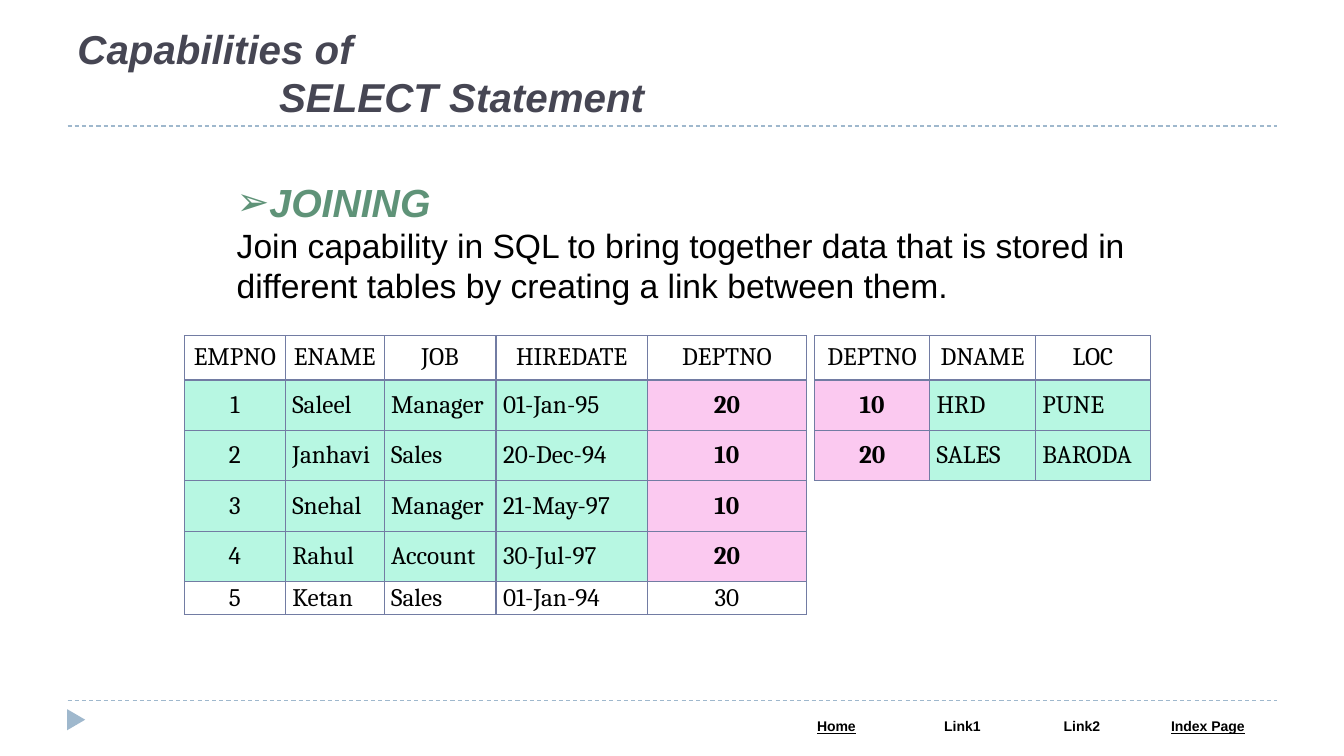
from lxml import etree
from pptx import Presentation
from pptx.dml.color import RGBColor
from pptx.enum.dml import MSO_LINE
from pptx.enum.shapes import MSO_CONNECTOR, MSO_SHAPE
from pptx.enum.text import MSO_ANCHOR, PP_ALIGN
from pptx.oxml.ns import qn
from pptx.util import Inches, Pt

COLORS = {
    "rule": "9FB8CD",
    "title": "464653",
    "heading": "5F9378",
    "text": "000000",
    "grid": "727CA3",
    "row": "B7F7E2",
    "key": "FBC9F0",
    "page": "FFFFFF",
}

EMPLOYEES = [
    ["EMPNO", "ENAME", "JOB", "HIREDATE", "DEPTNO"],
    ["1", "Saleel", "Manager", "01-Jan-95", "20"],
    ["2", "Janhavi", "Sales", "20-Dec-94", "10"],
    ["3", "Snehal", "Manager", "21-May-97", "10"],
    ["4", "Rahul", "Account", "30-Jul-97", "20"],
    ["5", "Ketan", "Sales", "01-Jan-94", "30"],
]
DEPARTMENTS = [
    ["DEPTNO", "DNAME", "LOC"],
    ["10", "HRD", "PUNE"],
    ["20", "SALES", "BARODA"],
]
FOOTER_LINKS = ["Home", "Link1", "Link2", "Index Page"]


def rgb(name):
    return RGBColor.from_string(COLORS[name])


def write(paragraph, text, size, color="text", font="Arial", bold=False,
          italic=False, underline=False, align=PP_ALIGN.LEFT):
    paragraph.alignment = align
    run = paragraph.add_run()
    run.text = text
    run.font.name = font
    run.font.size = Pt(size)
    run.font.bold = bold
    run.font.italic = italic
    run.font.underline = underline
    run.font.color.rgb = rgb(color)


def set_indent(paragraph, left, bullet=None):
    properties = paragraph._p.get_or_add_pPr()
    properties.set("marL", str(Inches(left)))
    properties.set("indent", "0")
    if bullet:
        etree.SubElement(properties, qn("a:buFont"), typeface="Arial")
        etree.SubElement(properties, qn("a:buChar"), char=bullet)


def add_frame(slide, left, top, width, height, anchor=MSO_ANCHOR.TOP):
    frame = slide.shapes.add_textbox(
        Inches(left), Inches(top), Inches(width), Inches(height)).text_frame
    frame.word_wrap = True
    frame.vertical_anchor = anchor
    return frame


def add_rule(slide, top):
    rule = slide.shapes.add_connector(
        MSO_CONNECTOR.STRAIGHT, Inches(0.67), Inches(top), Inches(12.67), Inches(top))
    rule.line.color.rgb = rgb("rule")
    rule.line.width = Pt(0.75)
    rule.line.dash_style = MSO_LINE.DASH
    etree.SubElement(rule._element.spPr, qn("a:effectLst"))


def add_grid(slide, left, top, widths, heights):
    """Add an empty table without header or band styling."""
    table = slide.shapes.add_table(
        len(heights), len(widths), Inches(left), Inches(top),
        Inches(sum(widths)), Inches(sum(heights))).table
    table.first_row = False
    table.horz_banding = False
    for column, width in zip(table.columns, widths):
        column.width = Inches(width)
    for row, height in zip(table.rows, heights):
        row.height = Inches(height)
    return table


def format_cell(cell, border, fill, margin_x, margin_y):
    properties = cell._tc.get_or_add_tcPr()
    for side in ("lnL", "lnR", "lnT", "lnB"):
        line = etree.SubElement(properties, qn(f"a:{side}"), w=str(Pt(1)))
        solid = etree.SubElement(line, qn("a:solidFill"))
        etree.SubElement(solid, qn("a:srgbClr"), val=COLORS[border])
    if fill:
        cell.fill.solid()
        cell.fill.fore_color.rgb = rgb(fill)
    else:
        cell.fill.background()
    cell.margin_left = cell.margin_right = Inches(margin_x)
    cell.margin_top = cell.margin_bottom = Inches(margin_y)


def add_data_table(slide, left, records, widths, heights, key, joined):
    """Fill a table, shading the joined rows and marking their key column."""
    table = add_grid(slide, left, 3.33, widths, heights)
    for r, record in enumerate(records):
        for c, value in enumerate(record):
            shaded = 1 <= r <= joined
            is_key = shaded and c == key
            fill = "key" if is_key else "row" if shaded else None
            centered = r == 0 or c in (0, key)
            cell = table.cell(r, c)
            format_cell(cell, "grid", fill, 0.07, 0)
            cell.vertical_anchor = MSO_ANCHOR.MIDDLE
            write(cell.text_frame.paragraphs[0], value, 18, font="Cambria", bold=is_key,
                  align=PP_ALIGN.CENTER if centered else PP_ALIGN.LEFT)


def add_footer(slide):
    add_rule(slide, 6.95)
    links = add_grid(slide, 7.67, 7.08, [1.25, 1.25, 1.12, 1.38], [0.27])
    for c, label in enumerate(FOOTER_LINKS):
        cell = links.cell(0, c)
        format_cell(cell, "page", "page", 0.13, 0.05)
        write(cell.text_frame.paragraphs[0], label, 10, bold=True,
              underline=label in ("Home", "Index Page"), align=PP_ALIGN.CENTER)
    marker = slide.shapes.add_shape(
        MSO_SHAPE.ISOSCELES_TRIANGLE, Inches(0.65), Inches(7.05), Inches(0.21), Inches(0.18))
    marker.rotation = 90
    marker.shadow.inherit = False
    marker.fill.solid()
    marker.fill.fore_color.rgb = rgb("rule")
    marker.line.fill.background()


def add_title(slide):
    add_rule(slide, 1.25)
    frame = add_frame(slide, 0.67, 0.25, 12, 1, MSO_ANCHOR.BOTTOM)
    first, second = frame.paragraphs[0], frame.add_paragraph()
    set_indent(second, 2)
    for paragraph, text in ((first, "Capabilities of"), (second, "SELECT Statement")):
        write(paragraph, text, 28.8, "title", bold=True, italic=True)


def add_joining_text(slide):
    frame = add_frame(slide, 2.25, 1.25, 9.17, 2.66)
    heading, body = frame.paragraphs[0], frame.add_paragraph()
    heading.line_spacing = 2.0
    set_indent(heading, 0, bullet="➢")
    write(heading, "JOINING", 28, "heading", bold=True, italic=True)
    write(body, "Join capability in SQL to bring together data that is stored in "
                "different tables by creating a link between them.", 24)


def main():
    deck = Presentation()
    deck.slide_width, deck.slide_height = Inches(13.33), Inches(7.5)
    slide = deck.slides.add_slide(deck.slide_layouts[6])
    add_footer(slide)
    add_title(slide)
    add_joining_text(slide)
    add_data_table(slide, 1.83, EMPLOYEES, [1, 0.98, 1.11, 1.5, 1.58],
                   [0.44] + [0.5] * 4 + [0.33], key=4, joined=4)
    add_data_table(slide, 8.08, DEPARTMENTS, [1.14, 1.05, 1.14],
                   [0.44] + [0.5] * 2, key=0, joined=2)
    deck.save("out.pptx")


if __name__ == "__main__":
    main()
